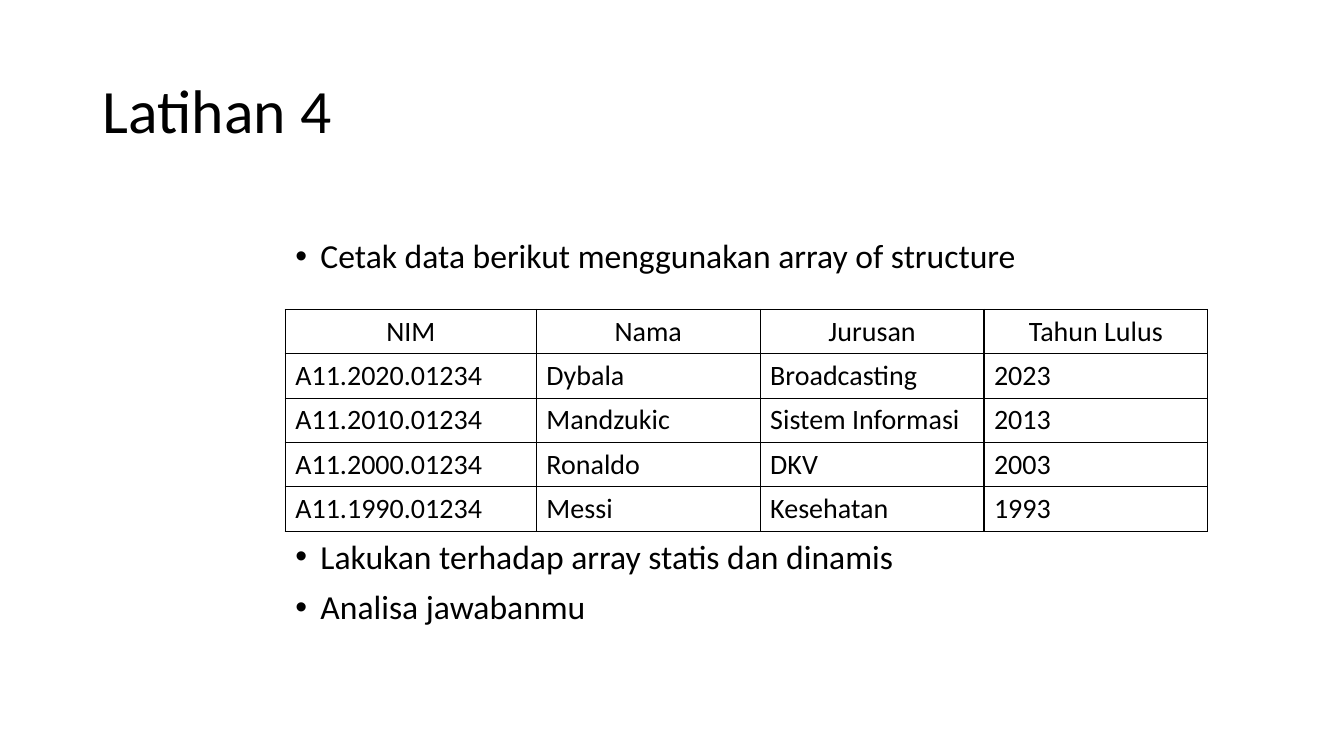
from dataclasses import dataclass

import pptx
import pptx.dml.color
import pptx.enum.text
import pptx.oxml
import pptx.oxml.ns
import pptx.util
from pptx.util import Inches


@dataclass(frozen=True)
class Theme:
    font: str = "Calibri"
    ink: str = "000000"
    title_size: int = 44
    body_size: int = 24
    table_size: int = 20
    border_width: int = 1


THEME = Theme()
ALIGN = pptx.enum.text.PP_ALIGN
ANCHOR = pptx.enum.text.MSO_ANCHOR

GRADUATES = [
    ("NIM", "Nama", "Jurusan", "Tahun Lulus"),
    ("A11.2020.01234", "Dybala", "Broadcasting", "2023"),
    ("A11.2010.01234", "Mandzukic", "Sistem Informasi", "2013"),
    ("A11.2000.01234", "Ronaldo", "DKV", "2003"),
    ("A11.1990.01234", "Messi", "Kesehatan", "1993"),
]


def write_text(para, text, *, size, align=ALIGN.LEFT, line_spacing=None, space_before=0, bullet=None):
    para.alignment = align
    para.space_before = pptx.util.Pt(space_before)
    if line_spacing:
        para.line_spacing = line_spacing
    if bullet:
        properties = para._p.get_or_add_pPr()
        properties.set("marL", str(Inches(0.25)))
        properties.set("indent", str(-Inches(0.25)))
        namespace = pptx.oxml.ns.nsdecls("a")
        properties.append(pptx.oxml.parse_xml(f'<a:buFont {namespace} typeface="Arial"/>'))
        properties.append(pptx.oxml.parse_xml(f'<a:buChar {namespace} char="{bullet}"/>'))
    span = para.add_run()
    span.text = text
    span.font.name = THEME.font
    span.font.size = pptx.util.Pt(size)
    span.font.bold = False
    span.font.color.rgb = pptx.dml.color.RGBColor.from_string(THEME.ink)


def set_title(page, text):
    title = page.shapes.title
    title.left, title.top = Inches(0.92), Inches(0.4)
    title.width, title.height = Inches(11.5), Inches(1.45)
    frame = title.text_frame
    frame.auto_size = pptx.enum.text.MSO_AUTO_SIZE.NONE
    frame.vertical_anchor = ANCHOR.MIDDLE
    write_text(frame.paragraphs[0], text, size=THEME.title_size, line_spacing=0.9)


def add_bullets(page, lines, top, height):
    box = page.shapes.add_textbox(Inches(2.83), Inches(top), Inches(9.75), Inches(height))
    frame = box.text_frame
    frame.word_wrap = True
    for index, line in enumerate(lines):
        para = frame.add_paragraph() if index else frame.paragraphs[0]
        write_text(para, line, size=THEME.body_size, line_spacing=0.9,
                   space_before=10 if index else 0, bullet="•")


def add_borders(cell):
    properties = cell._tc.get_or_add_tcPr()
    for side in ("lnL", "lnR", "lnT", "lnB"):
        properties.append(pptx.oxml.parse_xml(
            f'<a:{side} {pptx.oxml.ns.nsdecls("a")} w="{pptx.util.Pt(THEME.border_width)}">'
            f'<a:solidFill><a:srgbClr val="{THEME.ink}"/></a:solidFill></a:{side}>'))


def add_grid(page, rows, widths, row_height):
    frame = page.shapes.add_table(
        len(rows), len(widths), Inches(2.83), Inches(3.07),
        Inches(sum(widths)), Inches(row_height * len(rows)))
    table = frame.table
    table.first_row = table.horz_banding = False
    for column, width in zip(table.columns, widths):
        column.width = Inches(width)
    for row_index, row in enumerate(rows):
        table.rows[row_index].height = Inches(row_height)
        for column_index, text in enumerate(row):
            cell = table.cell(row_index, column_index)
            add_borders(cell)
            cell.fill.background()
            write_text(cell.text_frame.paragraphs[0], text, size=THEME.table_size,
                       align=ALIGN.LEFT if row_index else ALIGN.CENTER)


def main():
    deck = pptx.Presentation()
    deck.slide_width, deck.slide_height = Inches(13.33), Inches(7.5)
    page = deck.slides.add_slide(deck.slide_layouts.get_by_name("Title Only"))
    set_title(page, "Latihan 4")
    add_bullets(page, ["Cetak data berikut menggunakan array of structure"], 2.33, 0.5)
    add_bullets(page, ["Lakukan terhadap array statis dan dinamis", "Analisa jawabanmu"], 5.31, 1.48)
    add_grid(page, GRADUATES, [2.49] + [2.22] * 3, 0.44)
    deck.save("out.pptx")


if __name__ == "__main__":
    main()
